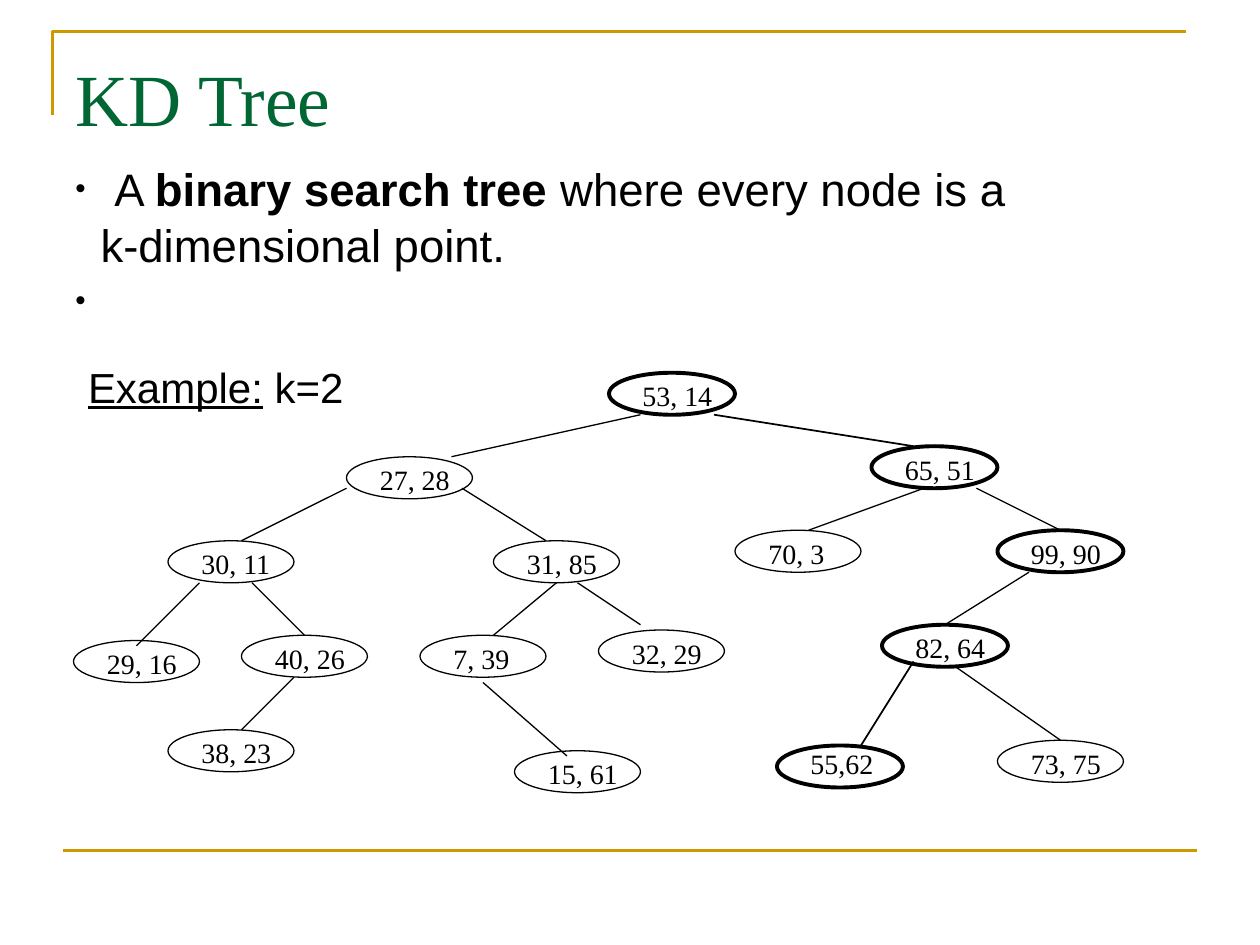
"""Build a slide that shows a two-dimensional KD tree."""
import pptx
import pptx.util
import pptx.dml.color
import pptx.enum.shapes
import pptx.enum.text
import pptx.oxml
import lxml.etree

Pt = pptx.util.Pt
Kind = pptx.enum.shapes
INK = {"line": "000000", "fill": "FFFFFF", "head": "006633", "rule": "CC9900"}
SERIF, SANS = "Times New Roman", "Arial"
UNIT = 1 / 12
WIDE, HIGH = 12, 4
THIN, MID, BOLD, RULE = 0.75, 1, 2.25, 1.5

# label: column, row, outline
NODES = {
    "53, 14": (58, 35.5, BOLD),
    "27, 28": (33, 43.5, THIN),
    "65, 51": (83, 42.5, BOLD),
    "31, 85": (47, 51.5, THIN),
    "30, 11": (16, 51.5, THIN),
    "70, 3": (70, 50.5, THIN),
    "99, 90": (95, 50.5, BOLD),
    "29, 16": (7, 61, THIN),
    "40, 26": (23, 60.5, THIN),
    "7, 39": (40, 60.5, THIN),
    "32, 29": (57, 60, THIN),
    "82, 64": (84, 59.5, BOLD),
    "73, 75": (95, 70.5, THIN),
    "15, 61": (49, 71.5, THIN),
    "38, 23": (16, 69.5, THIN),
    "55,62": (74, 71, BOLD),
}
LIFT = {"55,62": 0.5}
EDGES = [
    ("27, 28", (61, 39.5), (43, 43.5), THIN),
    ("65, 51", (68, 39.5), (87, 42.5), MID),
    ("30, 11", (33, 46.5), (23, 51.5), THIN),
    ("31, 85", (44, 46.5), (52, 51.5), THIN),
    ("70, 3", (88, 46.5), (77, 50.5), THIN),
    ("99, 90", (93, 46.5), (101, 50.5), THIN),
    ("82, 64", (98, 54.5), (90, 59.5), THIN),
    ("73, 75", (91, 63.5), (101, 70.5), THIN),
    ("29, 16", (19, 55.5), (13, 61.5), THIN),
    ("40, 26", (24, 55.5), (29, 60.5), THIN),
    ("38, 23", (28, 64.5), (23, 69.5), THIN),
    ("7, 39", (53, 55.5), (47, 60.5), THIN),
    ("32, 29", (55, 55.5), (61, 59.5), THIN),
    ("55,62", (87, 63), (82, 71), MID),
    ("15, 61", (46, 65), (54, 72), THIN),
]
HEAD = [[("KD Tree", "")]]
BODY = [
    [("A ", ""), ("binary search tree ", "b"), ("where every node is a", "")],
    [("k-dimensional point.", "")],
    [(" ", "")],
]
CASE = [[("Example:", "u"), (" k=2", "")]]
INDENT = [(0.31, -0.31), (0.2, 0), (0.31, -0.31)]


def size(n):
    return pptx.util.Inches(n * UNIT)


def tint(key):
    return pptx.dml.color.RGBColor.from_string(INK[key])


def trace(shape, key, width):
    shape.line.color.rgb = tint(key)
    shape.line.width = Pt(width)


def write(page, area, rows, font, points, key="line", wrap=True):
    box = page.shapes.add_textbox(*map(size, area))
    frame = box.text_frame
    frame.word_wrap = wrap
    for i, row in enumerate(rows):
        para = frame.paragraphs[0] if i == 0 else frame.add_paragraph()
        for text, mark in row:
            run = para.add_run()
            run.text = text
            run.font.name, run.font.size = font, Pt(points)
            run.font.color.rgb = tint(key)
            run.font.bold = mark == "b"
            run.font.underline = mark == "u"
    return frame


def bullet(para, left, hang):
    prop = para._p.get_or_add_pPr()
    prop.set("marL", str(pptx.util.Inches(left)))
    prop.set("indent", str(pptx.util.Inches(hang)))
    if hang:
        for tag, name, value in (("buSzPct", "val", "65000"),
                                 ("buFont", "typeface", SANS),
                                 ("buChar", "char", "•")):
            part = lxml.etree.SubElement(prop, pptx.oxml.ns.qn("a:" + tag))
            part.set(name, value)


def link(page, start, end, key, width):
    wire = page.shapes.add_connector(
        Kind.MSO_CONNECTOR.STRAIGHT, *map(size, start + end))
    trace(wire, key, width)
    lxml.etree.SubElement(wire._element.spPr, pptx.oxml.ns.qn("a:effectLst"))
    return wire


def node(page, label):
    col, row, width = NODES[label]
    oval = page.shapes.add_shape(
        Kind.MSO_SHAPE.OVAL, *map(size, (col, row, WIDE, HIGH)))
    oval.shadow.inherit = False
    oval.fill.solid()
    oval.fill.fore_color.rgb = tint("fill")
    trace(oval, "line", width)
    top = row - LIFT.get(label, 0)
    frame = write(page, (col + 2, top, WIDE - 2, 4.4), [[(label, "")]], SERIF, 16)
    frame.paragraphs[0].space_before = Pt(10)
    return oval


def main():
    deck = pptx.Presentation()
    deck.slide_width, deck.slide_height = size(120), size(90)
    page = deck.slides.add_slide(deck.slide_layouts[6])

    pen = page.shapes.build_freeform(size(5), size(11))
    pen.add_line_segments([(size(5), size(3)), (size(113), size(3))], close=False)
    frame = pen.convert_to_shape()
    frame.shadow.inherit = False
    frame.fill.background()
    trace(frame, "rule", RULE)
    link(page, (6, 81), (114, 81), "rule", RULE)

    head = write(page, (6, 3.6, 108, 15), HEAD, SERIF, 42, "head")
    head.margin_top = pptx.util.Inches(0.12)
    body = write(page, (6, 14.3, 108, 16.8), BODY, SANS, 26)
    body.margin_top = pptx.util.Inches(0.07)
    for para, (left, hang) in zip(body.paragraphs, INDENT):
        para.line_spacing = 1.03
        bullet(para, left, hang)

    ovals = {label: node(page, label) for label in NODES}
    for label, start, end, width in EDGES:
        wire = link(page, start, end, "line", width)
        col, row, _ = NODES[label]
        if end == (col + WIDE / 2, row):
            wire.end_connect(ovals[label], 0)
    write(page, (7.2, 33.8, 26.8, 6), CASE, SANS, 24, wrap=False)
    deck.save("out.pptx")


if __name__ == "__main__":
    main()
